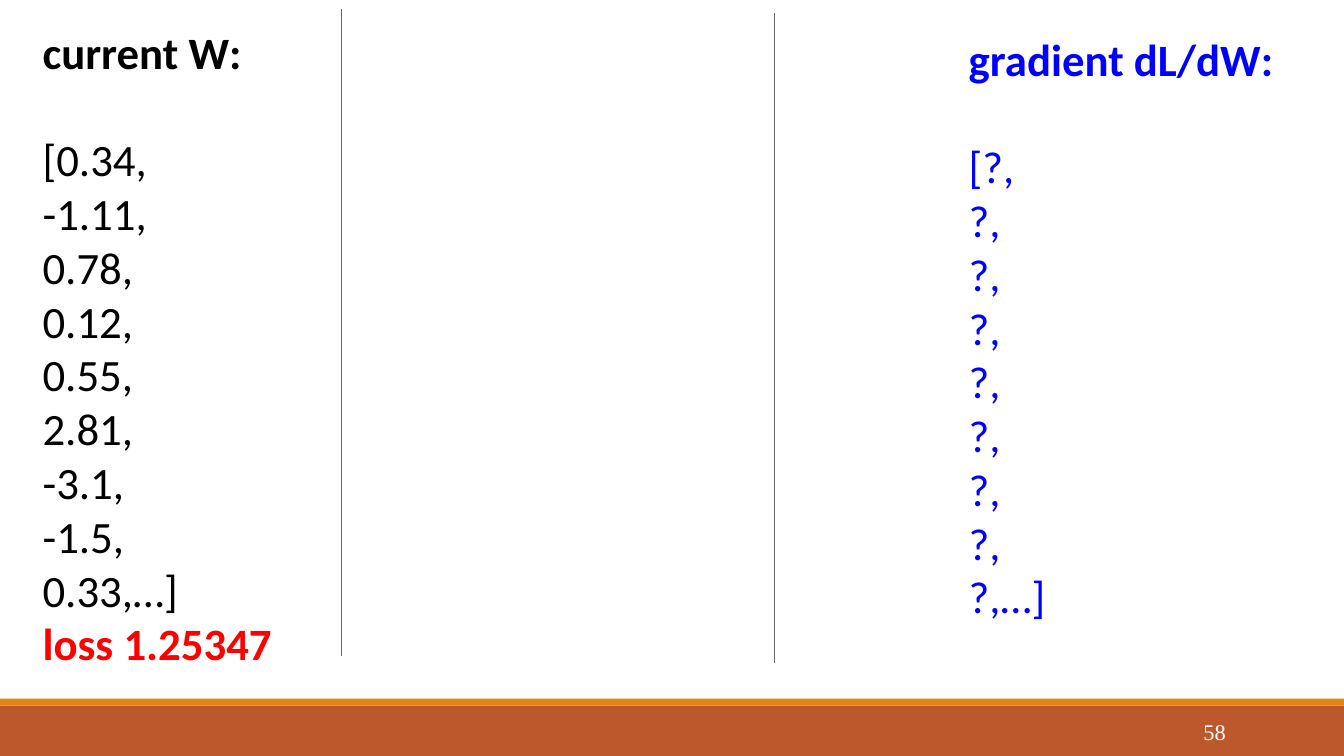
import pptx
import pptx.dml.color
import pptx.enum.shapes
import pptx.enum.text
import pptx.util
from lxml import etree

Pt = pptx.util.Pt
SLIDE_WIDTH, SLIDE_HEIGHT = 960, 540
COLORS = {
    "text": "000000",
    "gradient": "0000FF",
    "loss": "FF0000",
    "divider": "666666",
    "footer": "BD582C",
    "accent": "E48312",
    "number": "FFFFFF",
}
WEIGHTS = ["[0.34,", "-1.11,", "0.78,", "0.12,", "0.55,", "2.81,", "-3.1,", "-1.5,", "0.33,…]"]
GRADIENTS = ["[?,"] + ["?,"] * 7 + ["?,…]"]


def rgb(name):
    return pptx.dml.color.RGBColor.from_string(COLORS[name])


class SlideBuilder:
    font_name = "Calibri"
    font_size = 32
    line_pitch = 38.4

    def __init__(self, slide):
        self.slide = slide

    def bar(self, top, height, color):
        shape = self.slide.shapes.add_shape(
            pptx.enum.shapes.MSO_SHAPE.RECTANGLE, 0, Pt(top), Pt(SLIDE_WIDTH), Pt(height))
        shape.shadow.inherit = False
        shape.fill.solid()
        shape.fill.fore_color.rgb = rgb(color)
        shape.line.fill.background()

    def divider(self, x, top, bottom):
        connector = self.slide.shapes.add_connector(
            pptx.enum.shapes.MSO_CONNECTOR.STRAIGHT, Pt(x), Pt(top), Pt(x), Pt(bottom))
        connector.line.color.rgb = rgb("divider")
        connector.line.width = Pt(0.75)
        properties = connector._element.spPr
        etree.SubElement(properties, pptx.oxml.ns.qn("a:effectLst"))

    def text_box(self, left, top, width, height, lines, color, bold=False, pitch=None):
        """Add a box without insets, one paragraph per line, and return its text frame."""
        shape = self.slide.shapes.add_textbox(Pt(left), Pt(top), Pt(width), Pt(height))
        text_frame = shape.text_frame
        text_frame.word_wrap = True
        text_frame.margin_left = text_frame.margin_right = 0
        text_frame.margin_top = text_frame.margin_bottom = 0
        text_frame.text = "\n".join(lines)
        for paragraph in text_frame.paragraphs:
            if pitch:
                paragraph.line_spacing = Pt(pitch)
            self.format_font(paragraph.font, color, bold)
            for run in paragraph.runs:
                self.format_font(run.font, color, bold)
        return text_frame

    def format_font(self, font, color, bold):
        font.name = self.font_name
        font.size = Pt(self.font_size)
        font.bold = bold
        font.color.rgb = rgb(color)

    def column(self, left, top, width, heading, values, color):
        """Add a bold heading with its list of values below and return the list's text frame."""
        self.text_box(left, top, width, 34, [heading], color, bold=True)
        return self.text_box(left, top + 77, width, len(values) * self.line_pitch,
                             values, color, pitch=self.line_pitch)

    def slide_number(self, number):
        text_frame = self.text_box(780, 508.5, 95.5, 28.5, [number], "number")
        text_frame.vertical_anchor = pptx.enum.text.MSO_ANCHOR.MIDDLE
        paragraph = text_frame.paragraphs[0]
        paragraph.alignment = pptx.enum.text.PP_ALIGN.RIGHT
        font = paragraph.runs[0].font
        font.name = "Times New Roman"
        font.size = Pt(16)


def main():
    presentation = pptx.Presentation()
    presentation.slide_width = Pt(SLIDE_WIDTH)
    presentation.slide_height = Pt(SLIDE_HEIGHT)
    builder = SlideBuilder(presentation.slides.add_slide(presentation.slide_layouts[6]))

    builder.bar(504, 36, "footer")
    builder.bar(499, 5, "accent")
    builder.slide_number("58")

    weights = builder.column(30.4, 17.3, 190, "current W:", WEIGHTS + ["loss 1.25347"], "text")
    builder.format_font(weights.paragraphs[-1].runs[0].font, "loss", bold=True)
    builder.column(692, 22.3, 235, "gradient dL/dW:", GRADIENTS, "gradient")

    builder.divider(244, 6.5, 468.5)
    builder.divider(553, 9.4, 473.8)

    presentation.save("out.pptx")


if __name__ == "__main__":
    main()
